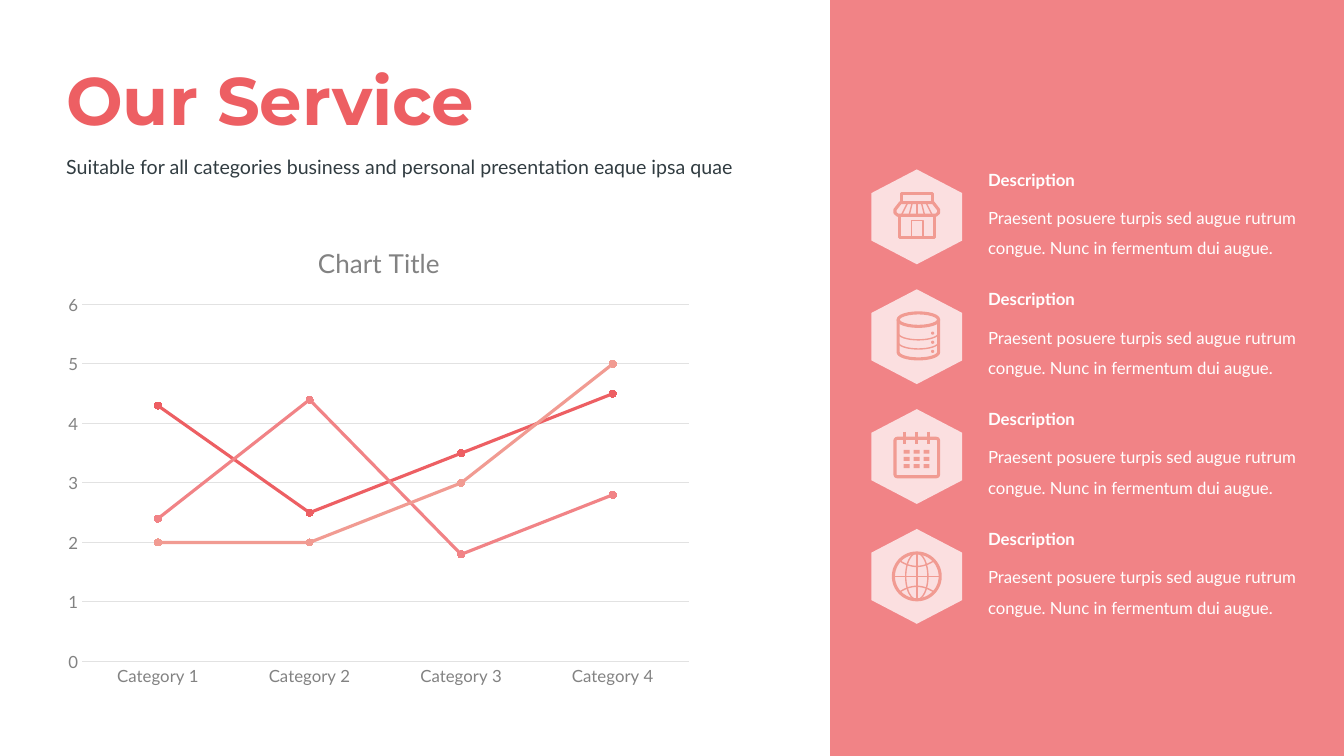
import math
from pptx import Presentation
from pptx import util as u
from pptx.chart.data import CategoryChartData
from pptx.dml.color import RGBColor
from pptx.enum import chart as ch, shapes, text
from pptx.oxml import parse_xml
from pptx.oxml.ns import nsdecls, qn
from lxml import etree

COLORS = {"coral": "ED5F63", "panel": "F18386", "peach": "F19B92", "blush": "FBDFE0",
          "ink": "313C41", "grey": "828282", "grid": "E2E2E2", "white": "FFFFFF"}
SHAPE = shapes.MSO_SHAPE
THICK, THIN = 2.2, 1


def rgb(name):
    return RGBColor.from_string(COLORS[name])


def style(sp, fill=None, line=None, weight=THICK):
    sp.shadow.inherit = False
    if fill:
        sp.fill.solid()
        sp.fill.fore_color.rgb = rgb(fill)
    else:
        sp.fill.background()
    if line:
        sp.line.color.rgb = rgb(line)
        sp.line.width = u.Pt(weight)
    else:
        sp.line.fill.background()
    return sp


def preset(s, kind, x, y, w, h, **look):
    return style(s.shapes.add_shape(kind, u.Cm(x), u.Cm(y), u.Cm(w), u.Cm(h)), **look)


def outline(s, x, y, points, closed=True, **look):
    spots = [(u.Cm(x + dx), u.Cm(y + dy)) for dx, dy in points]
    builder = s.shapes.build_freeform(*spots[0])
    builder.add_line_segments(spots[1:], close=closed)
    return style(builder.convert_to_shape(), **look)


def stroke(s, x1, y1, x2, y2, weight):
    c = s.shapes.add_connector(shapes.MSO_CONNECTOR.STRAIGHT,
                               u.Cm(x1), u.Cm(y1), u.Cm(x2), u.Cm(y2))
    c.line.color.rgb = rgb("peach")
    c.line.width = u.Pt(weight)
    etree.SubElement(c._element.spPr, qn("a:effectLst"))


def write(s, x, y, w, h, words, size, color, font="Lato", bold=False, spacing=1.0,
          anchor=text.MSO_ANCHOR.TOP):
    tf = s.shapes.add_textbox(u.Cm(x), u.Cm(y), u.Cm(w), u.Cm(h)).text_frame
    tf.word_wrap = True
    tf.vertical_anchor = anchor
    p = tf.paragraphs[0]
    p.line_spacing = spacing
    r = p.add_run()
    r.text = words
    r.font.name, r.font.size, r.font.bold = font, u.Pt(size), bold
    r.font.color.rgb = rgb(color)


def bowl(cx, cy, rx, ry):
    angles = [math.pi * (1 - i / 16) for i in range(17)]
    return [(cx + rx * math.cos(a), cy + ry * math.sin(a)) for a in angles]


def store_icon(s, x, y):
    preset(s, SHAPE.RECTANGLE, x - 0.39, y - 0.58, 0.78, 0.22, line="peach")
    right = [(0.41, -0.36), (0.55, -0.18), (0.55, -0.1), (0.48, -0.04)]
    outline(s, x, y, right + [(-dx, dy) for dx, dy in reversed(right)], line="peach")
    for k in range(-2, 3):
        stroke(s, x + 0.12 * k, y - 0.34, x + 0.19 * k, y - 0.06, THIN)
    preset(s, SHAPE.RECTANGLE, x - 0.44, y - 0.04, 0.88, 0.56, line="peach")
    preset(s, SHAPE.RECTANGLE, x - 0.14, y + 0.09, 0.3, 0.42, line="peach", weight=THIN)


def database_icon(s, x, y):
    cx, rx, ry = 0.04, 0.51, 0.17
    preset(s, SHAPE.OVAL, x + cx - rx, y - 0.6, 2 * rx, 2 * ry, line="peach")
    outline(s, x, y, [(cx - rx, -0.43)] + bowl(cx, 0.39, rx, ry) + [(cx + rx, -0.43)],
            closed=False, line="peach")
    for cy in (-0.09, 0.14):
        outline(s, x, y, bowl(cx, cy, rx, ry), closed=False, line="peach", weight=THIN)
    for row in range(3):
        preset(s, SHAPE.OVAL, x + 0.36, y - 0.13 + 0.23 * row, 0.08, 0.08, fill="peach")


def calendar_icon(s, x, y):
    page = preset(s, SHAPE.ROUNDED_RECTANGLE, x - 0.55, y - 0.46, 1.1, 0.97, line="peach")
    page.adjustments[0] = 0.06
    for k in (-1, 0, 1):
        stroke(s, x + 0.3 * k, y - 0.62, x + 0.3 * k, y - 0.32, THICK)
        for row in range(3):
            preset(s, SHAPE.RECTANGLE, x - 0.08 + 0.25 * k, y - 0.17 + 0.18 * row,
                   0.15, 0.1, fill="peach")


def globe_icon(s, x, y):
    r = 0.59
    preset(s, SHAPE.OVAL, x - r, y - r, 2 * r, 2 * r, line="peach")
    preset(s, SHAPE.OVAL, x - 0.28, y - r, 0.56, 2 * r, line="peach", weight=THIN)
    stroke(s, x - r, y, x + r, y, THIN)
    stroke(s, x, y - r, x, y + r, THIN)
    steps = [i / 8 for i in range(-8, 9)]
    for side in (-1, 1):
        outline(s, x, y, [(0.41 * t, side * (0.25 + 0.13 * t * t)) for t in steps],
                closed=False, line="peach", weight=THIN)


def service_row(s, x, y, icon):
    w, h = 2.29, 2.39
    outline(s, x, y + 0.13, [(w / 2, 0), (w, h / 4), (w, h * 3 / 4),
                             (w / 2, h), (0, h * 3 / 4), (0, h / 4)], fill="blush")
    icon(s, x + w / 2, y + 0.13 + h / 2)
    write(s, x + 2.69, y, 3.05, 0.76, "Description", 12, "white", bold=True)
    write(s, x + 2.69, y + 0.71, 9.2, 1.8,
          "Praesent posuere turpis sed augue rutrum congue. Nunc in fermentum dui augue.",
          12, "white", spacing=1.5)


def service_panel(s, x, y, w, h):
    preset(s, SHAPE.RECTANGLE, x, y, w, h, fill="panel")
    for i, icon in enumerate((store_icon, database_icon, calendar_icon, globe_icon)):
        service_row(s, x + 1.04, y + 4.14 + 3.02 * i, icon)


def heading(s, x, y, w):
    write(s, x, y, w, 2.41, "Our Service", 48, "coral", "Montserrat", True, 0.9,
          text.MSO_ANCHOR.MIDDLE)
    write(s, x, y + 2.42, w, 1.09,
          "Suitable for all categories business and personal presentation eaque ipsa quae",
          14, "ink", spacing=0.9)


def service_chart(s, x, y, w, h):
    data = CategoryChartData()
    data.categories = [f"Category {i}" for i in range(1, 5)]
    rows = [(4.3, 2.5, 3.5, 4.5), (2.4, 4.4, 1.8, 2.8), (2, 2, 3, 5)]
    for i, values in enumerate(rows, 1):
        data.add_series(f"Series {i}", values)
    chart = s.shapes.add_chart(ch.XL_CHART_TYPE.LINE_MARKERS, u.Cm(x), u.Cm(y),
                               u.Cm(w), u.Cm(h), data).chart
    chart.font.name, chart.font.size = "Lato", u.Pt(12)
    chart.font.color.rgb = rgb("grey")
    chart.has_legend = False
    chart.has_title = True
    r = chart.chart_title.text_frame.paragraphs[0].add_run()
    r.text = "Chart Title"
    r.font.name, r.font.size, r.font.bold = "Lato", u.Pt(18.6), False
    r.font.color.rgb = rgb("grey")
    plot = chart.plots[0]
    plot.vary_by_categories = False
    for series, color in zip(plot.series, ("coral", "panel", "peach")):
        series.smooth = False
        series.format.line.color.rgb = rgb(color)
        series.format.line.width = u.Pt(2.25)
        series.marker.style = ch.XL_MARKER_STYLE.CIRCLE
        series.marker.size = 5
        series.marker.format.fill.solid()
        series.marker.format.fill.fore_color.rgb = rgb(color)
        series.marker.format.line.color.rgb = rgb(color)
    values, cats = chart.value_axis, chart.category_axis
    values.minimum_scale, values.maximum_scale, values.major_unit = 0, 6, 1
    for axis in (values, cats):
        axis.major_tick_mark = axis.minor_tick_mark = ch.XL_TICK_MARK.NONE
    values.format.line.fill.background()
    for line in (values.major_gridlines.format.line, cats.format.line):
        line.color.rgb = rgb("grid")
        line.width = u.Pt(0.75)
    area = chart._chartSpace.chart.plotArea
    for old in area.findall(qn("c:layout")):
        area.remove(old)
    spots = "".join(f'<c:{k} val="{v}"/>' for k, v in (
        ("layoutTarget", "inner"), ("xMode", "edge"), ("yMode", "edge"),
        ("x", 0.04), ("y", 0.17), ("w", 0.94), ("h", 0.76)))
    area.insert(0, parse_xml(f'<c:layout {nsdecls("c")}><c:manualLayout>{spots}'
                             '</c:manualLayout></c:layout>'))


def main():
    prs = Presentation()
    prs.slide_width, prs.slide_height = u.Cm(33.87), u.Cm(19.05)
    s = prs.slides.add_slide(prs.slide_layouts[6])
    service_panel(s, 20.92, 0, 12.95, 19.05)
    heading(s, 1.42, 1.42, 18.06)
    service_chart(s, 1.42, 5.66, 16.26, 11.84)
    prs.save("out.pptx")


if __name__ == "__main__":
    main()
